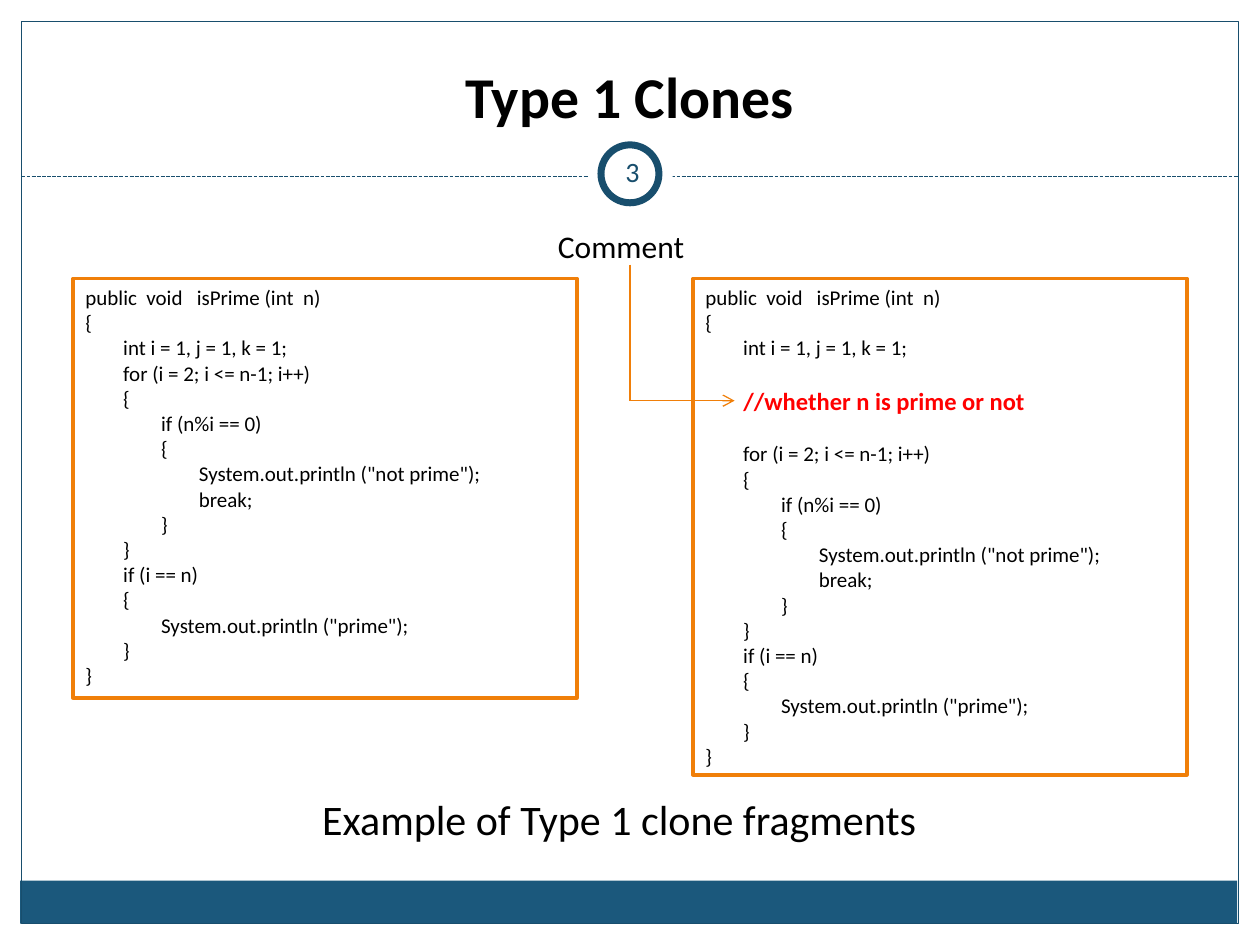
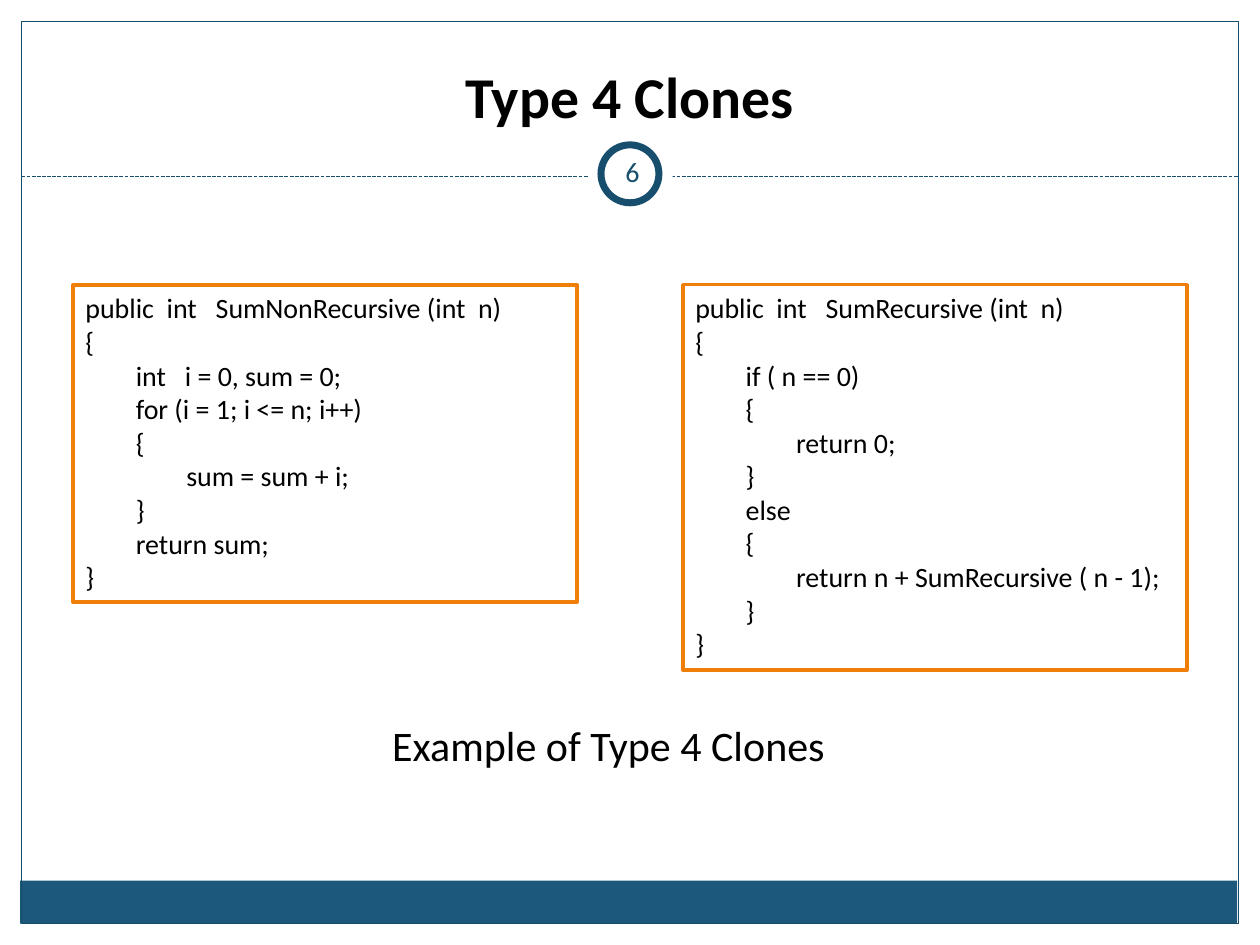
"""Build two slides that compare code clones side by side."""
from lxml import etree
from pptx import Presentation, util as u
from pptx.dml.color import RGBColor
from pptx.enum import dml, shapes, text
from pptx.oxml.ns import qn

PX = 9144
FONT = "Calibri"
BLACK = RGBColor(0x00, 0x00, 0x00)
WHITE = RGBColor(0xFF, 0xFF, 0xFF)
RED = RGBColor(0xFF, 0x00, 0x00)
NAVY = RGBColor(0x18, 0x4E, 0x6D)
BAND = RGBColor(0x1B, 0x58, 0x7C)
ORANGE = RGBColor(0xF0, 0x7F, 0x09)
RECT, OVAL = shapes.MSO_SHAPE.RECTANGLE, shapes.MSO_SHAPE.OVAL
CENTER, LEFT = text.PP_ALIGN.CENTER, text.PP_ALIGN.LEFT
BLANK_LINE = u.Pt(14.65)

PRIME_HEAD = """public  void   isPrime (int  n)
{
        int i = 1, j = 1, k = 1;
"""
PRIME_COMMENT = """        //whether n is prime or not
"""
PRIME_BODY = """        for (i = 2; i <= n-1; i++)
        {
                if (n%i == 0)
                {
                        System.out.println ("not prime");
                        break;
                }
        }
        if (i == n)
        {
                System.out.println ("prime");
        }
}"""
SUM_LOOP = """public  int   SumNonRecursive (int  n)
{
        int   i = 0, sum = 0;
        for (i = 1; i <= n; i++)
        {
                sum = sum + i;
        }
        return sum;
}"""
SUM_RECURSIVE = """public  int   SumRecursive (int  n)
{
        if ( n == 0)
        {
                return 0;
        }
        else
        {
                return n + SumRecursive ( n - 1);
        }
}"""

SLIDES = [
    ("Type 1 Clones", "3", 12,
     [(PRIME_HEAD + PRIME_BODY, (58, 221, 400, 333)),
      (PRIME_HEAD + PRIME_COMMENT + PRIME_BODY, (550, 221, 392, 394))],
     [("Example of Type 1 clone fragments", (108, 625, 767, 50), 24, CENTER),
      ("Comment", (433, 175, 142, 40), 18, LEFT)],
     [(500, 210, 500, 318), (500, 318, 583, 318)]),
    ("Type 4 Clones", "6", 16,
     [(SUM_LOOP, (58, 226, 400, 252)),
      (SUM_RECURSIVE, (542, 226, 400, 306))],
     [("Example of Type 4 Clones", (133, 566, 700, 50), 24, CENTER)],
     []),
]
FRAME = [
    (RECT, (16, 699, 966, 34), BAND, None, 0),
    (RECT, (17, 17, 966, 716), None, NAVY, 0.75),
    (OVAL, (467, 105, 67, 67), WHITE, None, 0),
    (OVAL, (477, 115, 46, 46), WHITE, NAVY, 4),
]


def add_run(p, content, size, color=BLACK, bold=False):
    r = p.add_run()
    r.text = content
    r.font.name, r.font.size, r.font.bold = FONT, u.Pt(size), bold
    r.font.color.rgb = color


def add_line(s, ends, color):
    cn = s.shapes.add_connector(shapes.MSO_CONNECTOR.STRAIGHT, *[v * PX for v in ends])
    cn.line.color.rgb, cn.line.width = color, u.Pt(0.75)
    etree.SubElement(cn._element.spPr, qn("a:effectLst"))
    return cn


prs = Presentation()
prs.slide_width, prs.slide_height = 1000 * PX, 750 * PX

for title, number, code_size, code_boxes, labels, pointer in SLIDES:
    s = prs.slides.add_slide(prs.slide_layouts[5])
    sp = s.shapes.title
    sp.left, sp.top, sp.width, sp.height = [v * PX for v in (33, 25, 933, 83)]
    tf = sp.text_frame
    tf.auto_size = text.MSO_AUTO_SIZE.NONE
    tf.vertical_anchor = text.MSO_ANCHOR.BOTTOM
    tf.paragraphs[0].alignment = CENTER
    add_run(tf.paragraphs[0], title, 33, bold=True)

    rule = add_line(s, (17, 140, 983, 140), NAVY)
    rule.line.dash_style = dml.MSO_LINE.SQUARE_DOT
    for kind, box, fill, outline, width in FRAME:
        sp = s.shapes.add_shape(kind, *[v * PX for v in box])
        sp.shadow.inherit = False
        if fill is None:
            sp.fill.background()
        else:
            sp.fill.solid()
            sp.fill.fore_color.rgb = fill
        if outline is None:
            sp.line.fill.background()
        else:
            sp.line.color.rgb, sp.line.width = outline, u.Pt(width)

    tf = s.shapes.add_textbox(*[v * PX for v in (477, 112, 50, 48)]).text_frame
    tf.word_wrap = True
    tf.vertical_anchor = text.MSO_ANCHOR.MIDDLE
    tf.margin_left = tf.margin_right = tf.margin_top = tf.margin_bottom = 5 * PX
    tf.paragraphs[0].alignment = CENTER
    add_run(tf.paragraphs[0], number, 16, NAVY)

    for code, box in code_boxes:
        sp = s.shapes.add_textbox(*[v * PX for v in box])
        sp.line.color.rgb, sp.line.width = ORANGE, u.Pt(2)
        tf = sp.text_frame
        tf.word_wrap = True
        tf.auto_size = text.MSO_AUTO_SIZE.SHAPE_TO_FIT_TEXT
        for i, line in enumerate(code.splitlines()):
            p = tf.add_paragraph() if i else tf.paragraphs[0]
            indent, slashes, comment = line.partition("//")
            add_run(p, indent, code_size)
            if slashes:
                p.space_before = p.space_after = BLANK_LINE
                add_run(p, slashes + comment, 14, RED, True)

    for label, box, size, align in labels:
        tf = s.shapes.add_textbox(*[v * PX for v in box]).text_frame
        tf.word_wrap = True
        tf.auto_size = text.MSO_AUTO_SIZE.SHAPE_TO_FIT_TEXT
        tf.paragraphs[0].alignment = align
        add_run(tf.paragraphs[0], label, size)

    for ends in pointer:
        cn = add_line(s, ends, ORANGE)
    if pointer:
        etree.SubElement(cn.line._get_or_add_ln(), qn("a:tailEnd"), type="arrow")

prs.save("out.pptx")
